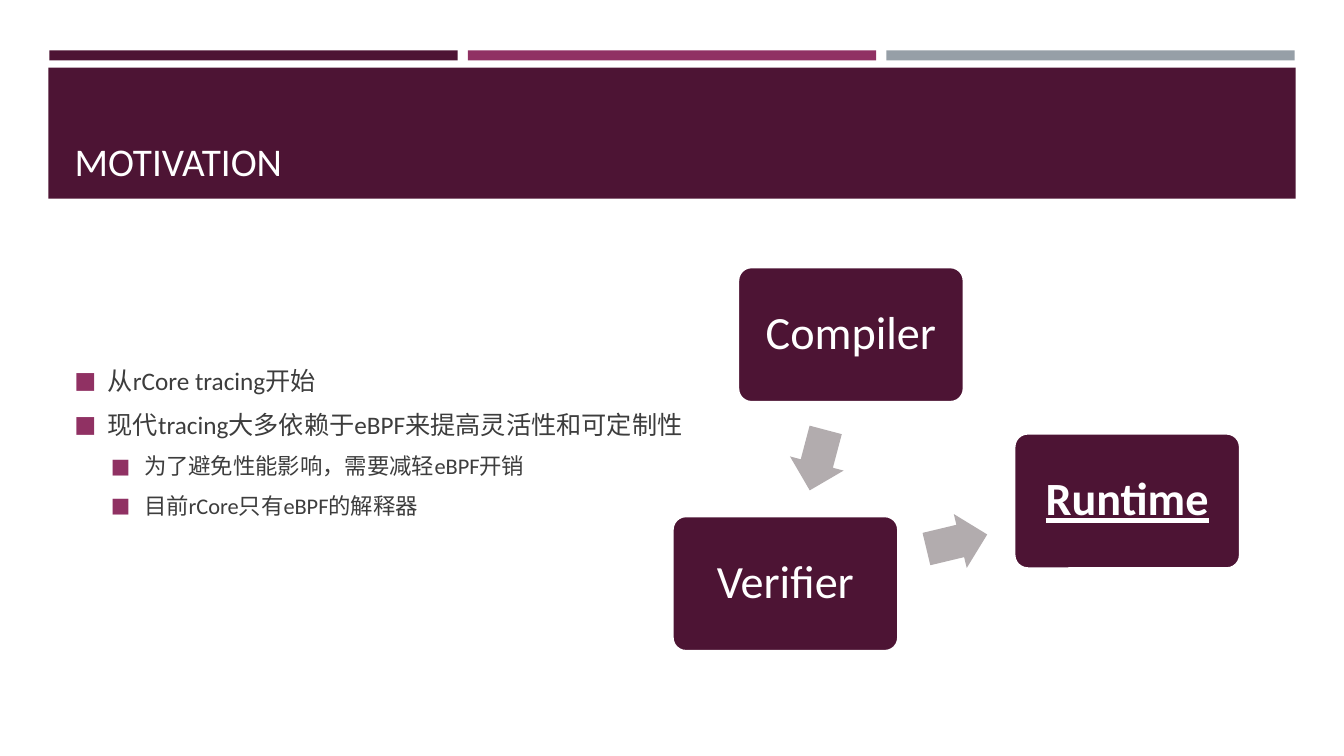
import dataclasses

import lxml.etree
import pptx
import pptx.dml.color
import pptx.enum.shapes
import pptx.enum.text
import pptx.oxml.ns
import pptx.util

Inches = pptx.util.Inches
Pt = pptx.util.Pt
SHAPES = pptx.enum.shapes.MSO_SHAPE
ANCHOR = pptx.enum.text.MSO_ANCHOR
ALIGN = pptx.enum.text.PP_ALIGN

FONT = "Calibri"
COLORS = {
    "plum": "4D1434",
    "magenta": "903163",
    "slate": "969FA7",
    "arrow": "B2ACAE",
    "body": "3D3D3D",
    "white": "FFFFFF",
}


@dataclasses.dataclass
class Stage:
    """A rounded box of the tracing pipeline."""
    label: str
    left: float
    top: float
    emphasized: bool = False


@dataclasses.dataclass
class StageArrow:
    """A block arrow leading from one stage to the next."""
    left: float
    top: float
    rotation: float


@dataclasses.dataclass
class Point:
    """A bulleted line of the motivation."""
    text: str
    level: int = 0


STAGES = [
    Stage("Compiler", 7.32, 2.65),
    Stage("Verifier", 6.67, 5.12),
    Stage("Runtime", 10.06, 4.3, emphasized=True),
]
ARROWS = [StageArrow(7.8, 4.29, 104.8), StageArrow(9.18, 5.1, 346.5)]
POINTS = [
    Point("从rCore tracing开始"),
    Point("现代tracing大多依赖于eBPF来提高灵活性和可定制性"),
    Point("为了避免性能影响，需要减轻eBPF开销", 1),
    Point("目前rCore只有eBPF的解释器", 1),
]


def rgb(name: str) -> pptx.dml.color.RGBColor:
    """Look up a palette colour."""
    return pptx.dml.color.RGBColor.from_string(COLORS[name])


def add_block(slide, kind, left: float, top: float, width: float, height: float, color: str):
    """Add a flat filled shape without outline."""
    block = slide.shapes.add_shape(
        kind, Inches(left), Inches(top), Inches(width), Inches(height))
    block.shadow.inherit = False
    block.fill.solid()
    block.fill.fore_color.rgb = rgb(color)
    block.line.fill.background()
    return block


def format_runs(paragraph, size: float, color: str) -> None:
    """Set font, size and colour on every run of a paragraph."""
    for run in paragraph.runs:
        run.font.name = FONT
        run.font.size = Pt(size)
        run.font.color.rgb = rgb(color)


def add_bullet(paragraph, indent: float) -> None:
    """Give a paragraph a hanging square bullet."""
    properties = paragraph._p.get_or_add_pPr()
    properties.set("marL", str(Inches(indent)))
    properties.set("indent", str(Inches(-0.33)))

    def add(parent, tag: str, **attributes: str):
        return lxml.etree.SubElement(parent, pptx.oxml.ns.qn(tag), attributes)

    add(add(properties, "a:buClr"), "a:srgbClr", val=COLORS["magenta"])
    add(properties, "a:buSzPct", val="92000")
    add(properties, "a:buFont", typeface=FONT)
    add(properties, "a:buChar", char="■")


def add_header(slide) -> None:
    """Draw the three accent strips, the band and the title."""
    for index, color in enumerate(("plum", "magenta", "slate")):
        add_block(slide, SHAPES.RECTANGLE, 0.49 + index * 4.15, 0.5, 4.05, 0.1, color)
    add_block(slide, SHAPES.RECTANGLE, 0.48, 0.67, 12.37, 1.3, "plum")

    title = slide.shapes.title
    slide.shapes._spTree.append(title._element)  # bring in front of the band
    title.left, title.top = Inches(0.64), Inches(0.77)
    title.width, title.height = Inches(12.06), Inches(1.11)
    title.text_frame.text = "MOTIVATION"
    title.text_frame.vertical_anchor = ANCHOR.BOTTOM
    heading = title.text_frame.paragraphs[0]
    heading.alignment = ALIGN.LEFT
    format_runs(heading, 28, "white")


def add_points(slide, points: list[Point]) -> None:
    """Write the bulleted motivation text."""
    body = slide.shapes.add_textbox(
        Inches(0.64), Inches(2.38), Inches(12.06), Inches(4.02)).text_frame
    body.word_wrap = True
    body.vertical_anchor = ANCHOR.MIDDLE
    body.text = "\n".join(point.text for point in points)
    for point, paragraph in zip(points, body.paragraphs):
        size = 18 - 2 * point.level
        paragraph.level = point.level
        paragraph.space_before = Pt(0.2 * size)
        paragraph.space_after = Pt(6)
        add_bullet(paragraph, 0.33 + 0.36 * point.level)
        format_runs(paragraph, size, "body")


def add_stage(slide, stage: Stage) -> None:
    """Draw a labelled pipeline stage."""
    box = add_block(
        slide, SHAPES.ROUNDED_RECTANGLE, stage.left, stage.top, 2.24, 1.34, "plum")
    box.adjustments[0] = 0.1
    box.line.color.rgb = rgb("white")
    box.line.width = Pt(1.75)
    frame = box.text_frame
    frame.word_wrap = True
    frame.vertical_anchor = ANCHOR.MIDDLE
    frame.margin_left = frame.margin_right = Inches(0.14)
    frame.margin_top = frame.margin_bottom = Inches(0.14)
    frame.text = stage.label
    label = frame.paragraphs[0]
    label.alignment = ALIGN.CENTER
    label.line_spacing = 0.9
    format_runs(label, 33, "white")
    if stage.emphasized:
        label.runs[0].font.bold = True
        label.runs[0].font.underline = True


def add_stage_arrow(slide, arrow: StageArrow) -> None:
    """Draw a rotated arrow between two stages."""
    block = add_block(
        slide, SHAPES.RIGHT_ARROW, arrow.left, arrow.top, 0.62, 0.55, "arrow")
    block.adjustments[0] = 0.6
    block.adjustments[1] = 0.5
    block.rotation = arrow.rotation


def main() -> None:
    """Build and save the slide."""
    presentation = pptx.Presentation()
    presentation.slide_width = Inches(13.33)
    presentation.slide_height = Inches(7.5)
    slide = presentation.slides.add_slide(presentation.slide_layouts[5])
    add_header(slide)
    add_points(slide, POINTS)
    for stage in STAGES:
        add_stage(slide, stage)
    for arrow in ARROWS:
        add_stage_arrow(slide, arrow)
    presentation.save("out.pptx")


main()
